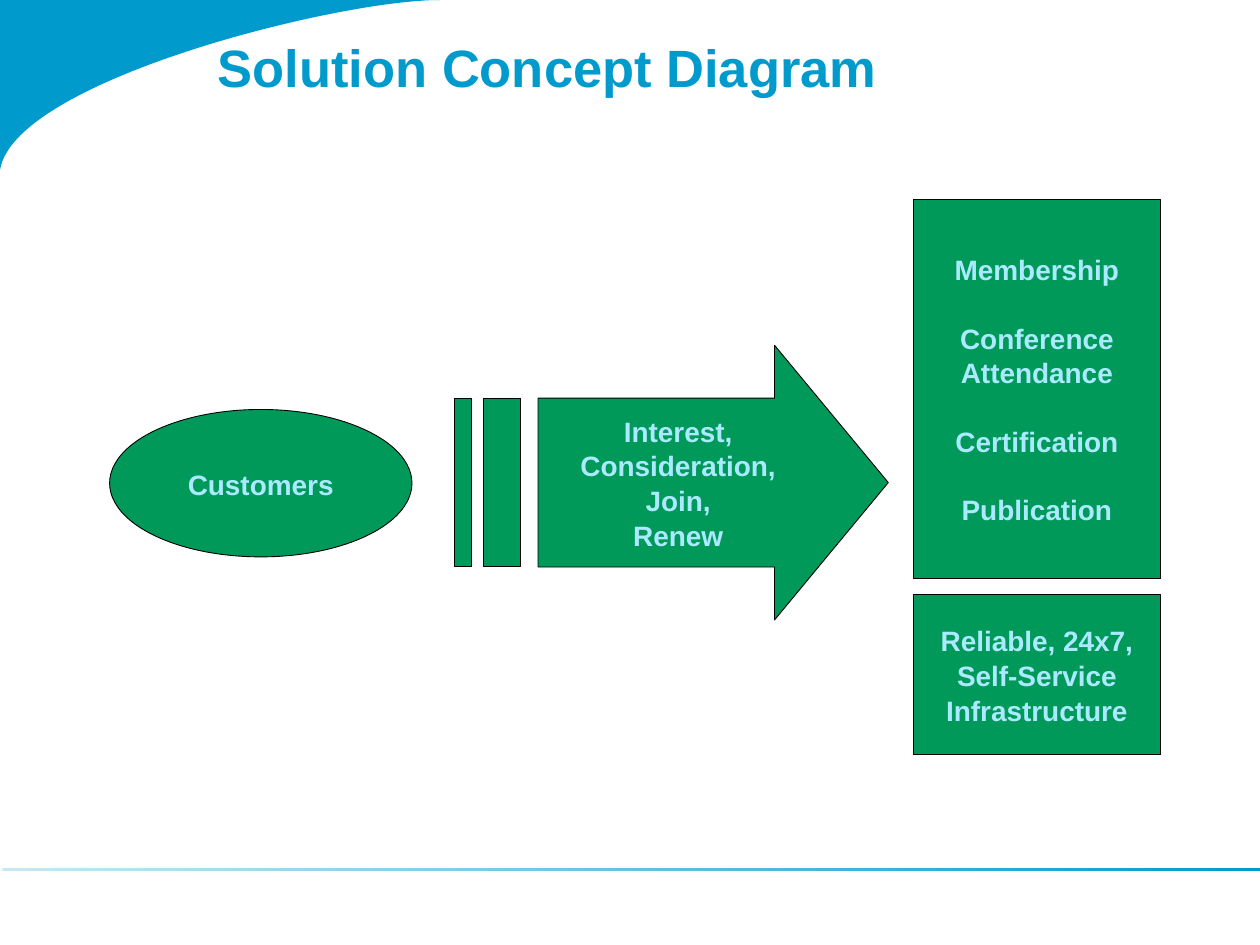
from dataclasses import dataclass

from pptx import Presentation
from pptx.dml.color import RGBColor
from pptx.enum.shapes import MSO_SHAPE
from pptx.enum.text import MSO_ANCHOR, MSO_AUTO_SIZE, PP_ALIGN
from pptx.shapes.autoshape import Shape
from pptx.slide import Slide
from pptx.text.text import TextFrame
from pptx.util import Inches, Pt

RECTANGLE = MSO_SHAPE.RECTANGLE
ELLIPSE = MSO_SHAPE.OVAL
ARROW = MSO_SHAPE.RIGHT_ARROW
TOP, MIDDLE = MSO_ANCHOR.TOP, MSO_ANCHOR.MIDDLE
LEFT, CENTER = PP_ALIGN.LEFT, PP_ALIGN.CENTER
NO_AUTOFIT = MSO_AUTO_SIZE.NONE
TITLE_ONLY = 5

COLORS = {
    "blue": "009BCC",
    "pale_blue": "C6E9F4",
    "green": "009959",
    "black": "000000",
    "light_text": "ABE9FF",
}


@dataclass(frozen=True)
class Block:
    kind: MSO_SHAPE
    left: float
    top: float
    width: float
    height: float
    lines: tuple[str, ...] = ()
    gap: float = 0
    adjustments: tuple[float, ...] = ()


BLOCKS = (
    Block(ELLIPSE, 0.87, 3.25, 2.4, 1.17, ("Customers",)),
    Block(ARROW, 4.27, 2.74, 2.78, 2.18,
          ("Interest,", "Consideration,", "Join,", "Renew"),
          adjustments=(0.615, 0.414)),
    Block(RECTANGLE, 3.84, 3.16, 0.29, 1.34),
    Block(RECTANGLE, 3.61, 3.16, 0.13, 1.34),
    Block(RECTANGLE, 7.25, 1.58, 1.96, 3.01,
          ("Membership", "Conference Attendance", "Certification", "Publication"),
          gap=19),
    Block(RECTANGLE, 7.25, 4.72, 1.96, 1.27,
          ("Reliable, 24x7, Self-Service Infrastructure",)),
)


def color(name: str) -> RGBColor:
    return RGBColor.from_string(COLORS[name])


def write_text(frame: TextFrame, lines: tuple[str, ...], *, size: float,
               font_color: str, align: PP_ALIGN, anchor: MSO_ANCHOR,
               insets: tuple[float, float, float, float],
               gap: float = 0, line_spacing: float = 1.0) -> None:
    """Fill a frame with one paragraph a line; insets are left, top, right, bottom."""
    frame.word_wrap = True
    frame.auto_size = NO_AUTOFIT
    frame.vertical_anchor = anchor
    (frame.margin_left, frame.margin_top,
     frame.margin_right, frame.margin_bottom) = map(Inches, insets)
    for index, line in enumerate(lines):
        paragraph = frame.add_paragraph() if index else frame.paragraphs[0]
        paragraph.alignment = align
        paragraph.line_spacing = line_spacing
        paragraph.space_before = Pt(gap if index else 0)
        run = paragraph.add_run()
        run.text = line
        run.font.name = "Arial"
        run.font.size = Pt(size)
        run.font.bold = True
        run.font.color.rgb = color(font_color)


def add_block(slide: Slide, block: Block) -> Shape:
    shape = slide.shapes.add_shape(
        block.kind, Inches(block.left), Inches(block.top),
        Inches(block.width), Inches(block.height))
    shape.shadow.inherit = False
    for index, value in enumerate(block.adjustments):
        shape.adjustments[index] = value
    shape.fill.solid()
    shape.fill.fore_color.rgb = color("green")
    shape.line.color.rgb = color("black")
    shape.line.width = Pt(0.5)
    if block.lines:
        write_text(shape.text_frame, block.lines, size=16,
                   font_color="light_text", align=CENTER, anchor=MIDDLE,
                   insets=(0.1, 0.05, 0.1, 0.05), gap=block.gap,
                   line_spacing=1.04)
    return shape


def add_corner_swoosh(slide: Slide, steps: int = 60) -> None:
    """Draw the corner whose edge is a cubic Bezier curve."""
    controls = ((0, 1.35), (0.11, 0.64), (2.68, 0), (3.49, 0))

    def curve_point(t: float) -> tuple[int, int]:
        weights = ((1 - t) ** 3, 3 * t * (1 - t) ** 2, 3 * t ** 2 * (1 - t), t ** 3)
        x, y = (sum(weight * point[axis] for weight, point in zip(weights, controls))
                for axis in (0, 1))
        return Inches(x), Inches(y)

    builder = slide.shapes.build_freeform(0, 0)
    builder.add_line_segments(
        [curve_point(step / steps) for step in range(steps + 1)], close=True)
    swoosh = builder.convert_to_shape()
    swoosh.shadow.inherit = False
    swoosh.fill.solid()
    swoosh.fill.fore_color.rgb = color("blue")
    swoosh.line.fill.background()


def add_footer_rule(slide: Slide) -> None:
    rule = slide.shapes.add_shape(
        RECTANGLE, Inches(0.02), Inches(6.89), Inches(10.04), Inches(0.02))
    rule.shadow.inherit = False
    rule.fill.gradient()
    rule.fill.gradient_angle = 0
    for stop, position, name in zip(rule.fill.gradient_stops, (0, 1),
                                    ("pale_blue", "blue")):
        stop.position = position
        stop.color.rgb = color(name)
    rule.line.fill.background()


def place_title(slide: Slide) -> None:
    """Format the title and bring it in front of the decoration."""
    title = slide.shapes.title
    title.left, title.top = Inches(1.65), Inches(0)
    title.width, title.height = Inches(7.01), Inches(1.47)
    write_text(title.text_frame, ("Solution Concept Diagram",), size=30,
               font_color="blue", align=LEFT, anchor=TOP,
               insets=(0.08, 0.28, 0.08, 0.04))
    slide.shapes.element.append(title.element)


def main() -> None:
    presentation = Presentation()
    presentation.slide_width, presentation.slide_height = Inches(10), Inches(7.5)
    slide = presentation.slides.add_slide(presentation.slide_layouts[TITLE_ONLY])
    add_corner_swoosh(slide)
    add_footer_rule(slide)
    place_title(slide)
    for block in BLOCKS:
        add_block(slide, block)
    presentation.save("out.pptx")


if __name__ == "__main__":
    main()
